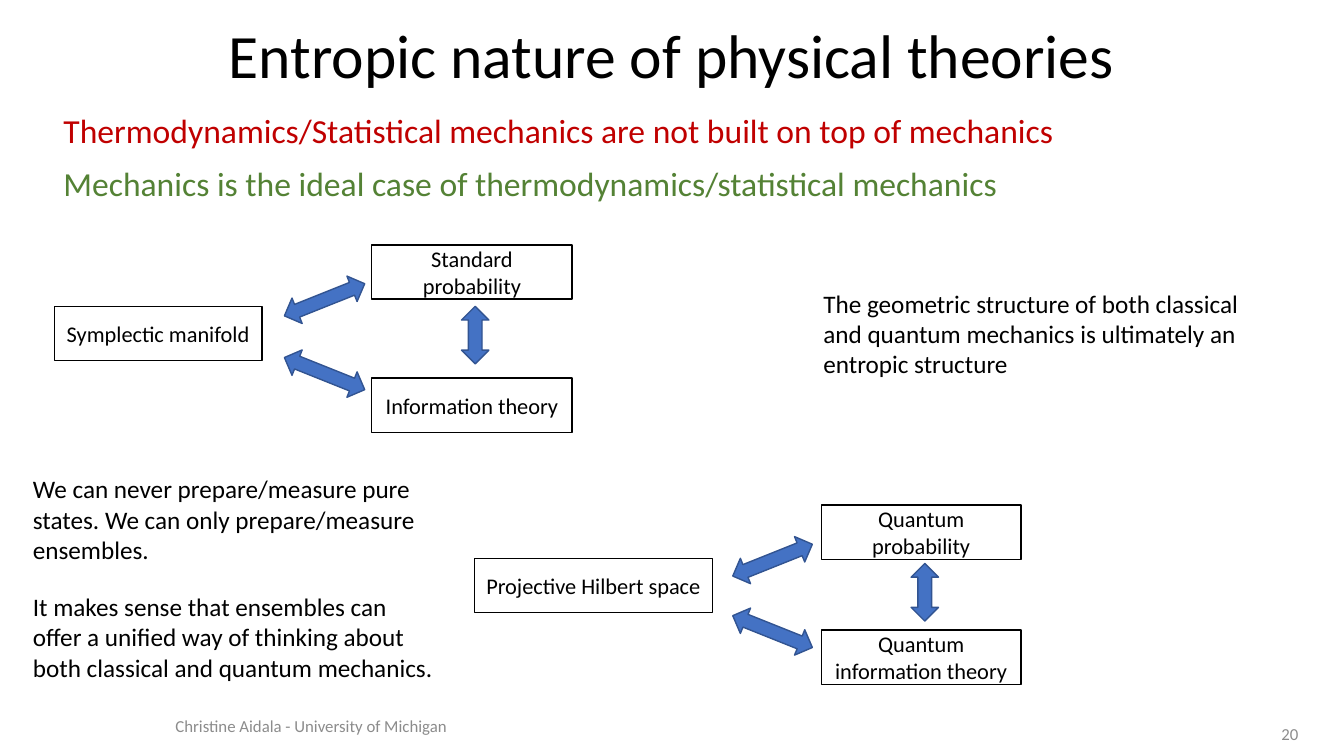
import pptx
import pptx.util
import pptx.dml.color
import pptx.enum.shapes
import pptx.enum.text

Cm = pptx.util.Cm
Pt = pptx.util.Pt
RGBColor = pptx.dml.color.RGBColor
SHAPE = pptx.enum.shapes.MSO_SHAPE
ALIGN = pptx.enum.text.PP_ALIGN
ANCHOR = pptx.enum.text.MSO_ANCHOR

BLACK = RGBColor(0x00, 0x00, 0x00)
WHITE = RGBColor(0xFF, 0xFF, 0xFF)
GREY = RGBColor(0x8C, 0x8C, 0x8C)
RED = RGBColor(0xC0, 0x00, 0x00)
GREEN = RGBColor(0x54, 0x82, 0x35)
BLUE = RGBColor(0x44, 0x72, 0xC4)
DARK_BLUE = RGBColor(0x32, 0x54, 0x91)

BOX_HEIGHT = 1.37
ARROW_HEIGHT = 0.69


def write(shape, text, size, color, align, anchor, wrap=True):
    frame = shape.text_frame
    frame.word_wrap = wrap
    frame.vertical_anchor = anchor
    paragraph = frame.paragraphs[0]
    paragraph.alignment = align
    run = paragraph.add_run()
    run.text = text
    run.font.name = "Calibri"
    run.font.size = Pt(size)
    run.font.color.rgb = color
    return paragraph


def add_block(shapes, kind, left, top, width, height, fill, line):
    shape = shapes.add_shape(kind, Cm(left), Cm(top), Cm(width), Cm(height))
    shape.shadow.inherit = False
    shape.fill.solid()
    shape.fill.fore_color.rgb = fill
    shape.line.color.rgb = line
    shape.line.width = Pt(1)
    return shape


presentation = pptx.Presentation()
presentation.slide_width = Cm(33.87)
presentation.slide_height = Cm(19.05)
slide = presentation.slides.add_slide(presentation.slide_layouts[6])

# Title
title = slide.shapes.add_textbox(Cm(0.28), Cm(0.23), Cm(33.3), Cm(2.49))
title_paragraph = write(title, "Entropic nature of physical theories", 44, BLACK,
                        ALIGN.CENTER, ANCHOR.MIDDLE)
title_paragraph.line_spacing = 0.9

# Footer and slide number
for text, left, top, width, height, align in [
    ("Christine Aidala - University of Michigan", 4.17, 17.78, 16.59, 1.02, ALIGN.LEFT),
    ("20", 31.42, 18.16, 1.55, 0.64, ALIGN.RIGHT),
]:
    footer = slide.shapes.add_textbox(Cm(left), Cm(top), Cm(width), Cm(height))
    write(footer, text, 12, GREY, align, ANCHOR.MIDDLE)

# Classical and quantum diagrams: boxes (text, left, top, width),
# arrows (left, top, width, rotation)
diagrams = [
    (
        [("Standard probability", 9.37, 6.17, 5.05),
         ("Information theory", 9.37, 9.53, 5.05),
         ("Symplectic manifold", 1.37, 7.72, 5.23)],
        [(7.09, 7.21, 2.18, -21.8),
         (7.09, 9.07, 2.18, 21.8),
         (11.25, 8.1, 1.45, 90)],
    ),
    (
        [("Quantum information theory", 20.7, 15.88, 5.03),
         ("Quantum probability", 20.7, 12.73, 5.03),
         ("Projective Hilbert space", 11.96, 14.07, 5.99)],
        [(18.39, 13.77, 2.16, -21.8),
         (18.39, 15.57, 2.16, 21.8),
         (22.58, 14.58, 1.45, 90)],
    ),
]
for boxes, arrows in diagrams:
    group = slide.shapes.add_group_shape()
    for text, left, top, width in boxes:
        box = add_block(group.shapes, SHAPE.RECTANGLE, left, top, width, BOX_HEIGHT,
                        WHITE, BLACK)
        write(box, text, 16, BLACK, ALIGN.CENTER, ANCHOR.MIDDLE)
    for left, top, width, rotation in arrows:
        arrow = add_block(group.shapes, SHAPE.LEFT_RIGHT_ARROW, left, top, width,
                          ARROW_HEIGHT, BLUE, DARK_BLUE)
        arrow.rotation = rotation

# Headline statements
for text, top, width, color in [
    ("Thermodynamics/Statistical mechanics are not built on top of mechanics",
     2.64, 25.68, RED),
    ("Mechanics is the ideal case of thermodynamics/statistical mechanics",
     3.99, 24.08, GREEN),
]:
    statement = slide.shapes.add_textbox(Cm(1.35), Cm(top), Cm(width), Cm(1.27))
    write(statement, text, 24, color, ALIGN.LEFT, ANCHOR.TOP, wrap=False)

# Comments beside the diagrams
for text, left, top, width in [
    ("The geometric structure of both classical and quantum mechanics is "
     "ultimately an entropic structure", 20.5, 7.14, 11.68),
    ("We can never prepare/measure pure states. We can only prepare/measure "
     "ensembles.", 0.58, 11.81, 10.49),
    ("It makes sense that ensembles can offer a unified way of thinking about "
     "both classical and quantum mechanics.", 0.58, 14.78, 10.74),
]:
    comment = slide.shapes.add_textbox(Cm(left), Cm(top), Cm(width), Cm(2.57))
    write(comment, text, 18, BLACK, ALIGN.LEFT, ANCHOR.TOP)

presentation.save("out.pptx")
